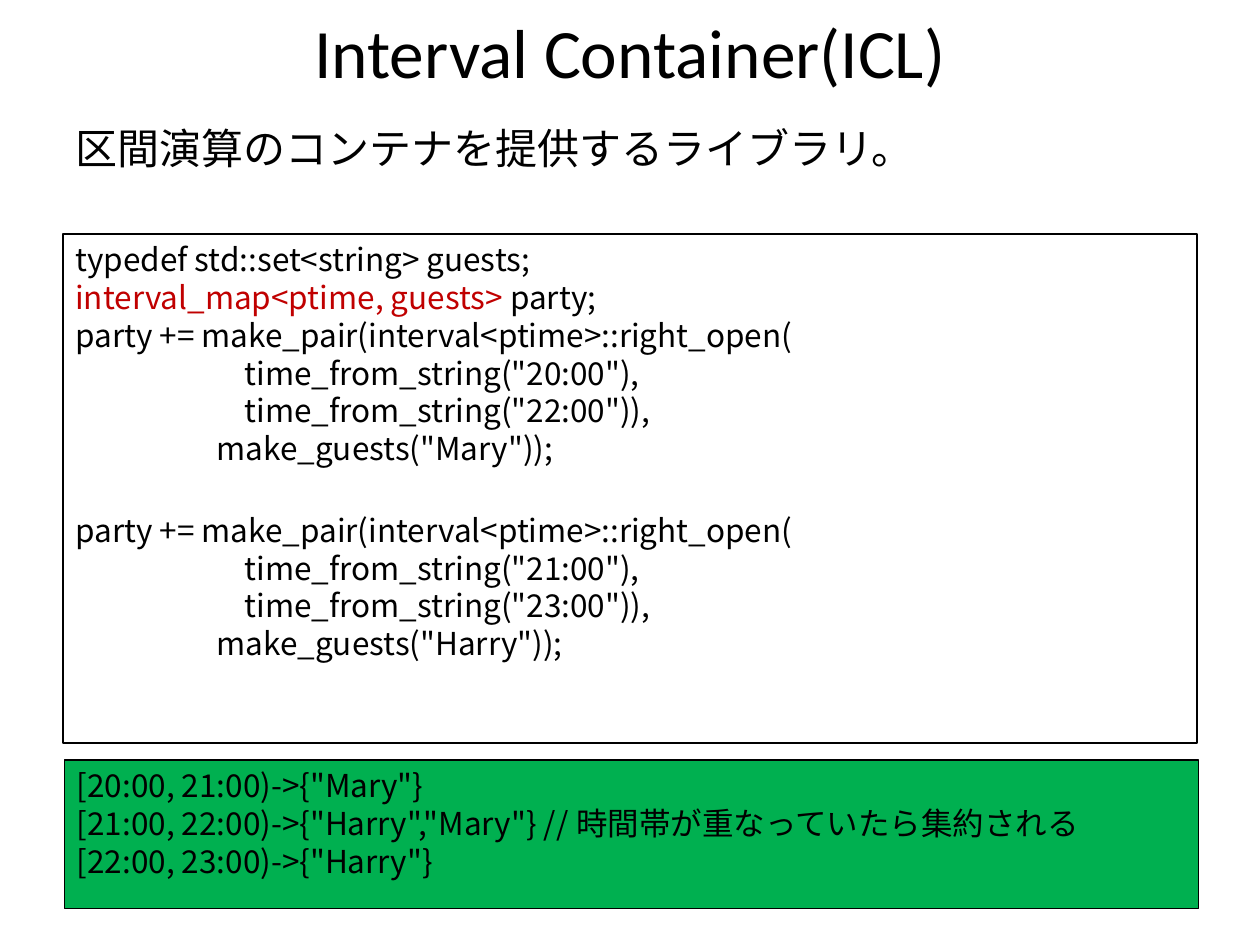
"""Build the Interval Container slide with its code and output boxes."""
from lxml import etree
from pptx import Presentation
from pptx.dml.color import RGBColor
from pptx.enum.shapes import MSO_SHAPE
from pptx.enum.text import MSO_ANCHOR, PP_ALIGN
from pptx.oxml.ns import qn
from pptx.util import Cm, Pt

RECT = MSO_SHAPE.RECTANGLE
TOP, MID = MSO_ANCHOR.TOP, MSO_ANCHOR.MIDDLE
LEFT, MIDDLE = PP_ALIGN.LEFT, PP_ALIGN.CENTER
SANS, CJK = "Calibri", "Noto Sans CJK JP"
HUES = {"black": "000000", "red": "C00000", "green": "00B050"}


def hue(name):
    return RGBColor.from_string(HUES[name])


def write(shape, lines, face, size, anchor=TOP, align=LEFT):
    frame = shape.text_frame
    frame.word_wrap = True
    frame.vertical_anchor = anchor
    for i, runs in enumerate(lines):
        para = frame.paragraphs[0] if i == 0 else frame.add_paragraph()
        para.alignment = align
        for text, tone in runs:
            run = para.add_run()
            run.text = text
            for key, value in {"name": face, "size": Pt(size)}.items():
                setattr(run.font, key, value)
            run.font.color.rgb = hue(tone)
            east = etree.SubElement(run.font._element, qn("a:ea"))
            east.set("typeface", face)
    return frame


deck = Presentation()
deck.slide_width, deck.slide_height = Cm(25.4), Cm(19.05)
slide = deck.slides.add_slide(deck.slide_layouts[6])
shapes = slide.shapes
edge, width = Cm(1.27), Cm(22.86)

title = shapes.add_textbox(edge, Cm(0.13), width, Cm(1.8))
write(title, [[("Interval Container(ICL)", "black")]], SANS, 39.6, MID, MIDDLE)

lead = shapes.add_textbox(edge, Cm(2.34), width, Cm(2.21))
write(lead, [[("区間演算のコンテナを提供するライブラリ。", "black")]], CJK, 24)

code = [
    [("typedef std::set<string> guests;", "black")],
    [("interval_map<ptime, guests> ", "red"), ("party;", "black")],
]
visits = [("20:00", "22:00", "Mary"), ("21:00", "23:00", "Harry")]
for start, end, guest in visits:
    for text in (
        "party += make_pair(interval<ptime>::right_open(",
        f'                        time_from_string("{start}"),',
        f'                        time_from_string("{end}")),',
        f'                    make_guests("{guest}"));',
    ):
        code.append([(text, "black")])

output = [
    [(text, "black")]
    for text in (
        '[20:00, 21:00)->{"Mary"}',
        '[21:00, 22:00)->{"Harry","Mary"} // 時間帯が重なっていたら集約される',
        '[22:00, 23:00)->{"Harry"}',
    )
]

panels = [
    (1.27, 4.72, 10.26, None, code),
    (1.3, 15.32, 2.99, "green", output),
]
frames = []
for left, top, high, fill, lines in panels:
    panel = shapes.add_shape(RECT, Cm(left), Cm(top), width, Cm(high))
    panel.shadow.inherit = False
    if fill:
        panel.fill.solid()
        panel.fill.fore_color.rgb = hue(fill)
    else:
        panel.fill.background()
    panel.line.color.rgb = hue("black")
    panel.line.width = Pt(0.75)
    frames.append(write(panel, lines, CJK, 18))

second = frames[0].paragraphs[6]
second.space_before = Pt(25)

deck.save("out.pptx")
